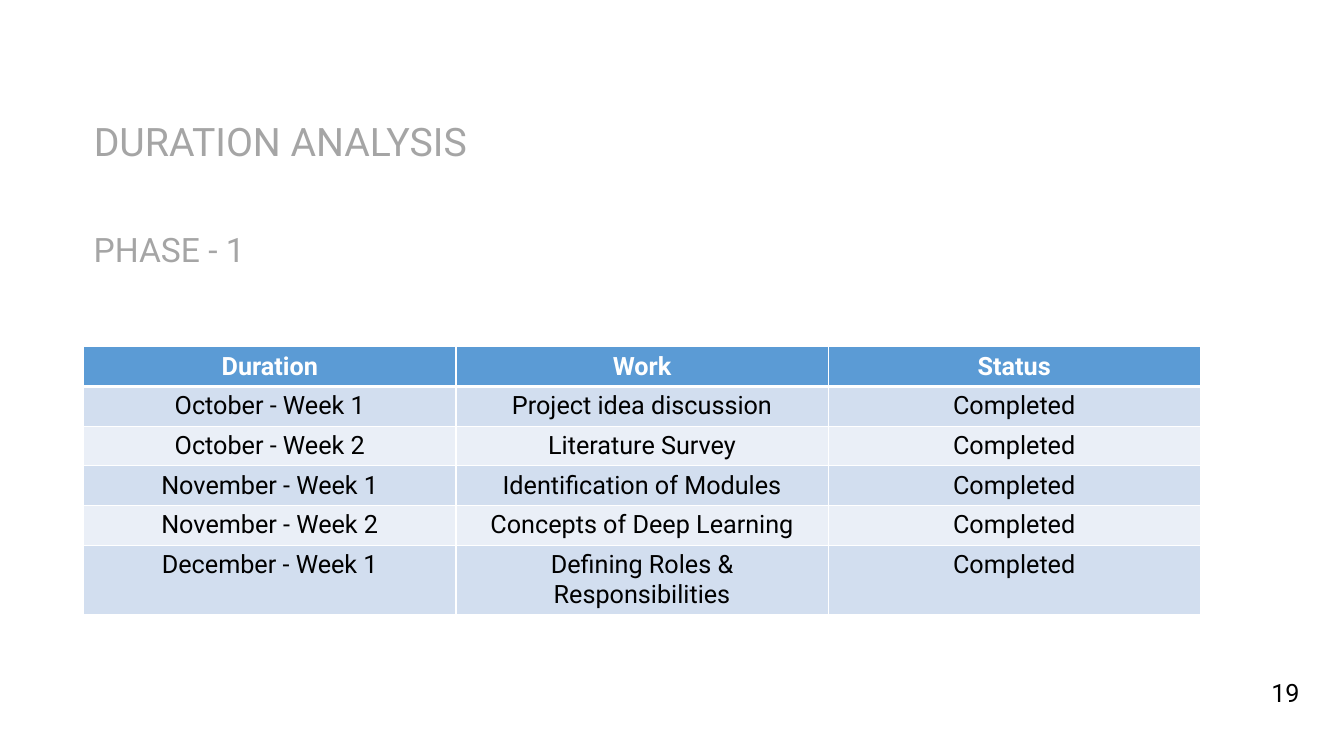
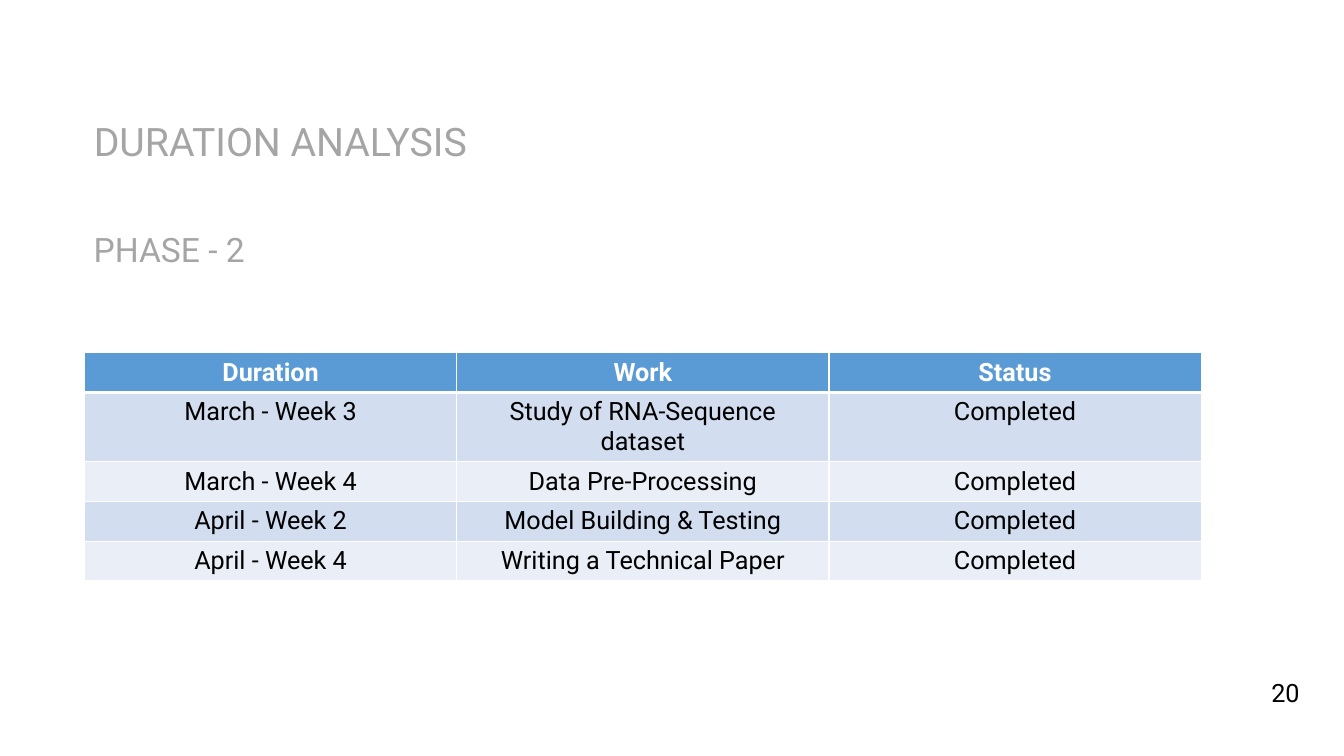
from lxml import etree
from pptx import Presentation
from pptx import util as u
from pptx.dml.color import RGBColor
from pptx.enum import text
from pptx.oxml import ns

COLORS = {"grey": "A5A5A5", "black": "000000", "white": "FFFFFF",
          "head": "5B9BD5", "odd": "D2DEEF", "even": "EAEFF7"}
FONT = "Roboto"
ALIGN, ANCHOR = text.PP_ALIGN, text.MSO_ANCHOR

# Text styles: font values and paragraph values
STYLES = {
    "title": ({"size": u.Pt(28), "bold": False}, "grey",
              {"alignment": ALIGN.LEFT, "line_spacing": 0.9}),
    "phase": ({"size": u.Pt(24), "bold": False}, "grey",
              {"alignment": ALIGN.LEFT, "line_spacing": 0.9,
               "space_before": u.Pt(10)}),
    "page": ({"size": u.Pt(18), "bold": False}, "black",
             {"alignment": ALIGN.CENTER}),
    "head": ({"size": u.Pt(18), "bold": True}, "white",
             {"alignment": ALIGN.CENTER}),
    "body": ({"size": u.Pt(18), "bold": False}, "black",
             {"alignment": ALIGN.CENTER}),
}

# Boxes in cm: left, top, width, height
TITLE = (2.11, 2.95, 29.87, 1.22)
PHASE = (2.11, 5.77, 6.55, 0.64)
PAGE = (31.57, 16.94, 1.65, 1.02)
ROW = 1.0

HEADS = ("Duration", "Work", "Status")
DONE = "Completed"
SLIDES = [
    {"page": "19", "phase": "PHASE - 1", "box": (2.11, 8.74, 28.14), "rows": [
        ("October - Week 1", "Project idea discussion", DONE),
        ("October - Week 2", "Literature Survey", DONE),
        ("November - Week 1", "Identification of Modules", DONE),
        ("November - Week 2", "Concepts of Deep Learning", DONE),
        ("December - Week 1", "Defining Roles & Responsibilities", DONE)]},
    {"page": "20", "phase": "PHASE - 2", "box": (2.13, 8.89, 28.14), "rows": [
        ("March - Week 3", "Study of RNA-Sequence dataset", DONE),
        ("March - Week 4", "Data Pre-Processing", DONE),
        ("April - Week 2", "Model Building & Testing", DONE),
        ("April - Week 4", "Writing a Technical Paper", DONE)]},
]


def rgb(name):
    return RGBColor.from_string(COLORS[name])


def apply(item, values):
    for key, value in values.items():
        setattr(item, key, value)


def write(frame, words, style):
    font, color, para = STYLES[style]
    line = frame.paragraphs[0]
    apply(line, para)
    run = line.add_run()
    run.text = words
    apply(run.font, {"name": FONT, **font})
    run.font.color.rgb = rgb(color)


def fill_box(shape, words, style, anchor=ANCHOR.TOP):
    apply(shape.text_frame, {"word_wrap": True, "vertical_anchor": anchor,
                             "auto_size": text.MSO_AUTO_SIZE.NONE})
    write(shape.text_frame, words, style)


def add_title(slide, box, words):
    shape = slide.shapes.title
    apply(shape, dict(zip(("left", "top", "width", "height"), map(u.Cm, box))))
    fill_box(shape, words, "title")


def add_label(slide, box, words, style, anchor=ANCHOR.TOP):
    fill_box(slide.shapes.add_textbox(*map(u.Cm, box)), words, style, anchor)


def edge(cell, widths):
    """Draw white cell borders; the lines come before the fill."""
    props = cell._tc.get_or_add_tcPr()
    for spot, (side, width) in enumerate(widths.items()):
        line = etree.Element(ns.qn("a:ln" + side), w=str(u.Pt(width)))
        fill = etree.SubElement(line, ns.qn("a:solidFill"))
        etree.SubElement(fill, ns.qn("a:srgbClr"), val=COLORS["white"])
        props.insert(spot, line)


def add_plan(slide, box, rows):
    left, top, width = box
    data = [HEADS, *rows]
    table = slide.shapes.add_table(
        len(data), len(HEADS), u.Cm(left), u.Cm(top),
        u.Cm(width), u.Cm(ROW * len(data))).table
    for col in table.columns:
        col.width = u.Cm(width / len(HEADS))
    for r, items in enumerate(data):
        table.rows[r].height = u.Cm(ROW)
        shade = "head" if r == 0 else "odd" if r % 2 else "even"
        # A thicker rule parts the header from the body
        widths = {"L": 1, "R": 1, "T": 3 if r == 1 else 1,
                  "B": 3 if r == 0 else 1}
        for c, words in enumerate(items):
            cell = table.cell(r, c)
            cell.fill.solid()
            cell.fill.fore_color.rgb = rgb(shade)
            edge(cell, widths)
            write(cell.text_frame, words, "body" if r else "head")


def add_phase(deck, info):
    slide = deck.slides.add_slide(deck.slide_layouts[5])
    add_title(slide, TITLE, "DURATION ANALYSIS")
    add_label(slide, PAGE, info["page"], "page", ANCHOR.MIDDLE)
    add_plan(slide, info["box"], info["rows"])
    add_label(slide, PHASE, info["phase"], "phase")


def main():
    deck = Presentation()
    deck.slide_width, deck.slide_height = u.Cm(33.87), u.Cm(19.05)
    for info in SLIDES:
        add_phase(deck, info)
    deck.save("out.pptx")


if __name__ == "__main__":
    main()
